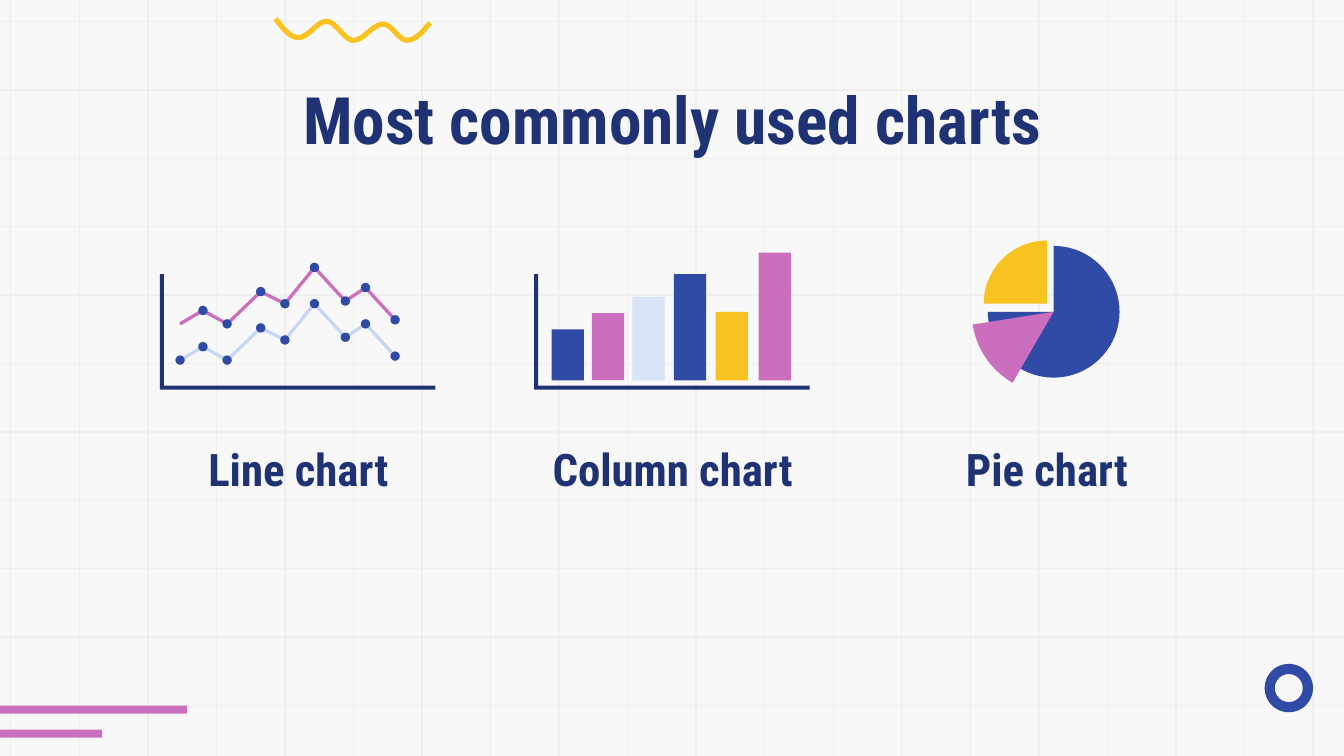
from math import cos, pi, radians, sin

from lxml import etree
from pptx import Presentation
from pptx.dml.color import RGBColor
from pptx.enum.shapes import MSO_CONNECTOR, MSO_SHAPE
from pptx.enum.text import MSO_ANCHOR, PP_ALIGN
from pptx.oxml.ns import qn
from pptx.util import Inches, Pt

STRAIGHT = MSO_CONNECTOR.STRAIGHT
RECTANGLE, OVAL, DONUT = MSO_SHAPE.RECTANGLE, MSO_SHAPE.OVAL, MSO_SHAPE.DONUT
TOP, BOTTOM = MSO_ANCHOR.TOP, MSO_ANCHOR.BOTTOM
CENTER = PP_ALIGN.CENTER

WIDTH = 10
HEIGHT = WIDTH * 9 / 16
FONT = "Roboto Condensed"
PAPER, GRID = "F8F8F8", "EFEFEF"
NAVY, BLUE, PINK, YELLOW = "1F3374", "304BA6", "CB6EBE", "F8C220"
PALE, SKY = "D8E4F7", "C5D7F1"


def rgb(value):
    return RGBColor.from_string(value)


def paint(shape, color):
    shape.shadow.inherit = False
    shape.fill.solid()
    shape.fill.fore_color.rgb = rgb(color)
    shape.line.fill.background()


def add_preset(page, kind, left, top, width, height, color):
    shape = page.shapes.add_shape(
        kind, Inches(left), Inches(top), Inches(width), Inches(height))
    paint(shape, color)
    return shape


def add_path(page, points, close):
    (x, y), *others = [(Inches(x), Inches(y)) for x, y in points]
    builder = page.shapes.build_freeform(x, y)
    builder.add_line_segments(others, close=close)
    return builder.convert_to_shape()


def add_polygon(page, points, color):
    paint(add_path(page, points, True), color)


def add_polyline(page, points, color, weight):
    shape = add_path(page, points, False)
    shape.shadow.inherit = False
    shape.fill.background()
    shape.line.color.rgb = rgb(color)
    shape.line.width = Pt(weight)


def add_text(page, text, left, top, width, height, size, anchor, spacing):
    box = page.shapes.add_textbox(
        Inches(left), Inches(top), Inches(width), Inches(height))
    frame = box.text_frame
    frame.word_wrap = True
    frame.vertical_anchor = anchor
    frame.margin_left = frame.margin_right = Inches(0.1)
    frame.margin_top = frame.margin_bottom = Inches(0.1)
    para = frame.paragraphs[0]
    para.text = text
    para.alignment = CENTER
    para.line_spacing = spacing
    para.font.name = FONT
    para.font.size = Pt(size)
    para.font.bold = True
    para.font.color.rgb = rgb(NAVY)


def spread(first, last, count):
    return [first + (last - first) * i / (count - 1) for i in range(count)]


def add_grid(page):
    ends = [(WIDTH, y, 0, y) for y in spread(0.16, 5.25, 11)]
    ends += [(x, 0, x, HEIGHT) for x in spread(0.08, 9.77, 20)]
    for end in ends:
        line = page.shapes.add_connector(STRAIGHT, *map(Inches, end))
        line.line.color.rgb = rgb(GRID)
        line.line.width = Pt(0.75)
        etree.SubElement(line._element.spPr, qn("a:effectLst"))


def add_squiggle(page, left, top, width):
    """Draw a wave eased between its turning points and cut at both ends."""
    turns = [(-0.17, -0.13), (0.17, 0.15), (0.38, 0.03), (0.58, 0.17),
             (0.8, 0.05), (0.98, 0.17), (1.32, -0.09)]
    steps = 16
    wave = []
    for (x1, y1), (x2, y2) in zip(turns, turns[1:]):
        for i in range(steps):
            share = i / steps
            ease = (1 - cos(pi * share)) / 2
            wave.append((x1 + (x2 - x1) * share, y1 + (y2 - y1) * ease))
    points = [(left + x, top + y) for x, y in wave if 0 <= x <= width]
    add_polyline(page, points, YELLOW, 2.75)


def add_decorations(page):
    for top, width in ((5.25, 1.39), (5.43, 0.76)):
        add_preset(page, RECTANGLE, 0, top, width, 0.06, PINK)
    ring = add_preset(page, DONUT, 9.41, 4.94, 0.36, 0.36, BLUE)
    ring.adjustments[0] = 0.21
    add_squiggle(page, 2.05, 0.13, 1.15)


def add_axes(page, left, top, width=2.05, height=0.86, bar=0.03):
    corners = [(0, 0), (0, height), (width, height),
               (width, height - bar), (bar, height - bar), (bar, 0)]
    add_polygon(page, [(left + x, top + y) for x, y in corners], NAVY)


def add_line_icon(page, left, top):
    xs = [0.31, 0.48, 0.66, 0.91, 1.09, 1.31, 1.54, 1.69, 1.91]
    ys = [0.89, 0.79, 0.89, 0.65, 0.74, 0.47, 0.72, 0.62, 0.86]
    dot = 0.07
    for lift, color, first_dot in ((0, SKY, 0), (0.27, PINK, 1)):
        points = [(left + x, top + y - lift) for x, y in zip(xs, ys)]
        add_polyline(page, points, color, 1.75)
        for x, y in points[first_dot:]:
            add_preset(page, OVAL, x - dot / 2, y - dot / 2, dot, dot, BLUE)
    add_axes(page, left + 0.16, top + 0.25)


def add_column_icon(page, left, top):
    base = top + 1.04
    columns = [(0.29, 0.38, BLUE), (0.59, 0.5, PINK), (0.89, 0.62, PALE),
               (1.2, 0.79, BLUE), (1.51, 0.51, YELLOW), (1.83, 0.95, PINK)]
    for x, height, color in columns:
        add_preset(page, RECTANGLE, left + x, base - height, 0.24, height, color)
    add_axes(page, left + 0.16, top + 0.25)


def add_sector(page, x, y, radius, start, end, color):
    """Fill a pie slice; angles run clockwise in degrees from twelve o'clock."""
    angles = [radians(angle) for angle in spread(start, end, 61)]
    arc = [(x + radius * sin(a), y - radius * cos(a)) for a in angles]
    add_polygon(page, [(x, y)] + arc, color)


def add_pie_icon(page, left, top):
    x, y = left + 1.24, top + 0.53
    add_sector(page, x - 0.05, y - 0.06, 0.47, 270, 360, YELLOW)
    add_sector(page, x, y, 0.49, 0, 270, BLUE)
    add_sector(page, x, y, 0.61, 210, 261, PINK)


def build_slide(page):
    page.background.fill.solid()
    page.background.fill.fore_color.rgb = rgb(PAPER)
    add_grid(page)
    add_decorations(page)
    add_text(page, "Most commonly used charts", 0.79, 0.49, 8.43, 0.63, 35, TOP, 1)
    panels = [("Line chart", add_line_icon), ("Column chart", add_column_icon),
              ("Pie chart", add_pie_icon)]
    for (caption, add_icon), left in zip(panels, spread(1.03, 6.6, len(panels))):
        add_text(page, caption, left, 3.23, 2.38, 0.56, 24, BOTTOM, 1.15)
        add_icon(page, left, 1.79)


def main():
    deck = Presentation()
    deck.slide_width, deck.slide_height = Inches(WIDTH), Inches(HEIGHT)
    build_slide(deck.slides.add_slide(deck.slide_layouts[6]))
    deck.save("out.pptx")


if __name__ == "__main__":
    main()
